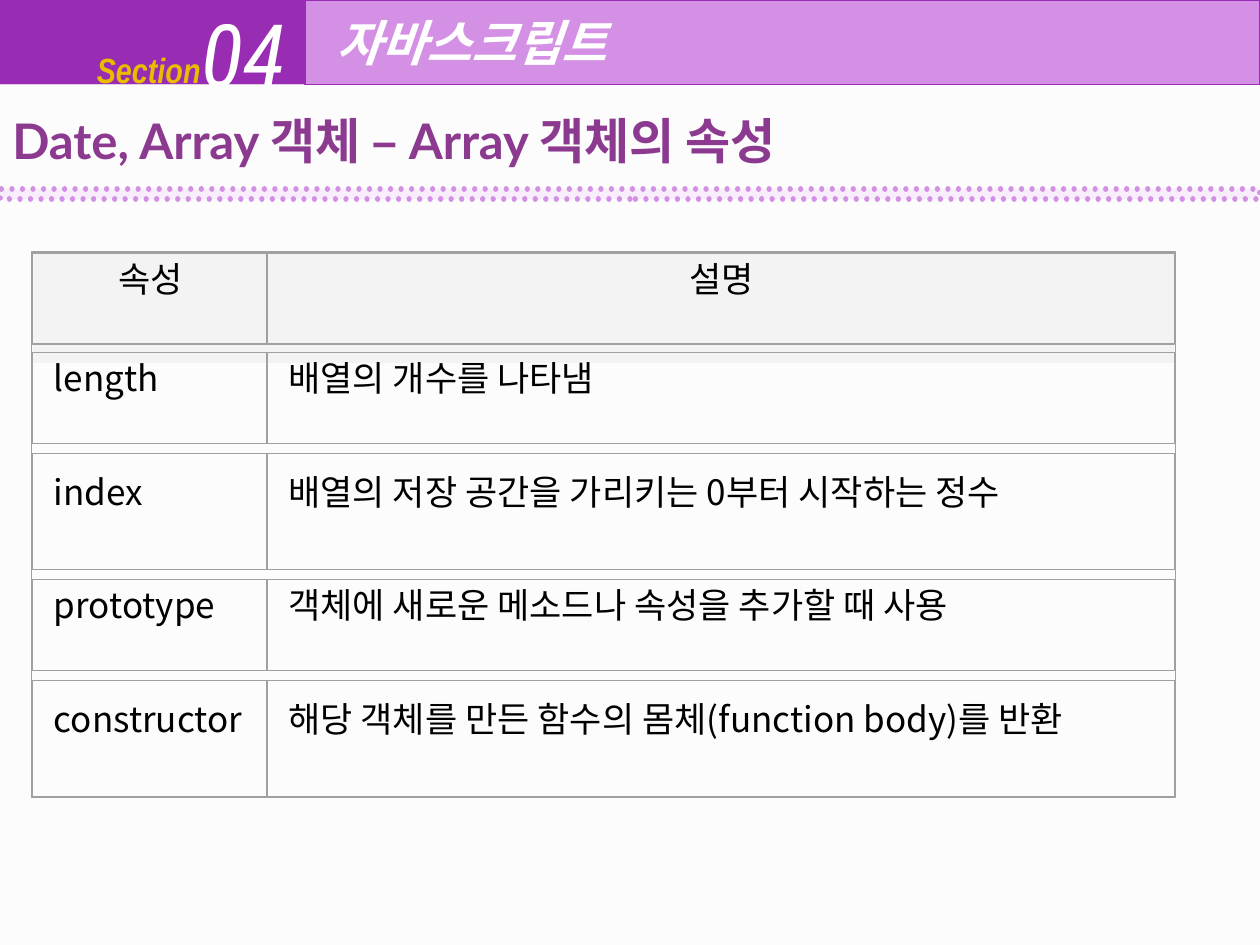
from lxml import etree
from pptx import Presentation
from pptx.dml.color import RGBColor
from pptx.enum.dml import MSO_LINE
from pptx.enum.shapes import MSO_SHAPE
from pptx.enum.text import MSO_ANCHOR, PP_ALIGN
from pptx.oxml.ns import qn
from pptx.util import Inches, Pt

PURPLE = RGBColor(0x98, 0x2C, 0xB2)
LILAC = RGBColor(0xD4, 0x90, 0xE4)
PALE_LILAC = RGBColor(0xF8, 0xED, 0xFB)
PLUM = RGBColor(0x8C, 0x3A, 0x90)
GOLD = RGBColor(0xE8, 0xBC, 0x00)
PANEL = RGBColor(0xFB, 0xFB, 0xFD)
HEADER_GRAY = RGBColor(0xF3, 0xF3, 0xF3)
BORDER_GRAY = RGBColor(0xA0, 0xA0, 0xA0)
WHITE = RGBColor(0xFF, 0xFF, 0xFF)
BLACK = RGBColor(0, 0, 0)
KOREAN_FONT = "Noto Sans CJK KR"

presentation = Presentation()
presentation.slide_width, presentation.slide_height = Inches(10), Inches(7.5)
slide = presentation.slides.add_slide(presentation.slide_layouts[6])


def add_rectangle(left, top, width, height, fill=None, line=None, line_width=0):
    shape = slide.shapes.add_shape(
        MSO_SHAPE.RECTANGLE, Inches(left), Inches(top), Inches(width), Inches(height))
    shape.shadow.inherit = False
    if fill is None:
        shape.fill.background()
    else:
        shape.fill.solid()
        shape.fill.fore_color.rgb = fill
    if line is None:
        shape.line.fill.background()
    else:
        shape.line.color.rgb = line
        shape.line.width = Pt(line_width)
    return shape


def add_text(text, left, top, width, height, color, align=PP_ALIGN.LEFT,
             anchor=MSO_ANCHOR.MIDDLE, bottom_inset=0.05, **font_values):
    box = slide.shapes.add_textbox(
        Inches(left), Inches(top), Inches(width), Inches(height))
    frame = box.text_frame
    frame.word_wrap = True
    frame.vertical_anchor = anchor
    frame.margin_bottom = Inches(bottom_inset)
    paragraph = frame.paragraphs[0]
    paragraph.alignment = align
    run = paragraph.add_run()
    run.text = text
    run.font.color.rgb = color
    for name, value in font_values.items():
        setattr(run.font, name, value)
    east_asian = etree.SubElement(run.font._element, qn("a:ea"))
    east_asian.set("typeface", KOREAN_FONT)


# Section banner
add_rectangle(0, 0, 2.42, 0.67, PURPLE)
add_text("Section", 0.67, 0.25, 1.58, 0.6, GOLD,
         name="Arial Narrow", size=Pt(20), bold=True, italic=True)
add_text("04", 1.5, 0, 1, 0.83, WHITE,
         name="Roboto Condensed", size=Pt(50), italic=True)
panel = add_rectangle(0, 0.67, 10, 6.83, PANEL)
panel_color = panel.element.spPr.find(qn("a:solidFill"))[0]
etree.SubElement(panel_color, qn("a:alpha")).set("val", "50000")
add_rectangle(2.42, 0, 7.58, 0.67, LILAC, PURPLE, 0.75)
add_text("자바스크립트", 2.57, 0, 7.43, 0.67, WHITE,
         name="Lato", size=Pt(28), bold=True, italic=True)

# Property grid: rows are separate boxes with small gaps between them
COLUMNS = [(0.26, 1.86), (2.12, 7.2)]
ROWS = [
    (2.01, 0.72, ("속성", "설명")),
    (2.8, 0.72, ("length", "배열의 개수를 나타냄")),
    (3.6, 0.92, ("index", "배열의 저장 공간을 가리키는 0부터 시작하는 정수")),
    (4.6, 0.72, ("prototype", "객체에 새로운 메소드나 속성을 추가할 때 사용")),
    (5.4, 0.92, ("constructor", "해당 객체를 만든 함수의 몸체(function body)를 반환")),
]
for row_index, (top, height, texts) in enumerate(ROWS):
    is_header = row_index == 0
    for (left, width), text in zip(COLUMNS, texts):
        if is_header:
            add_rectangle(left, top, width, 0.87, HEADER_GRAY)
        add_text(text, left + 0.07, top + 0.04, width - 0.13, height - 0.07, BLACK,
                 align=PP_ALIGN.CENTER if is_header else PP_ALIGN.JUSTIFY,
                 bottom_inset=0.38, name=KOREAN_FONT, size=Pt(20))
        add_rectangle(left, top, width, height, line=BORDER_GRAY)
add_rectangle(0.25, 2, 9.08, 4.33, line=BORDER_GRAY, line_width=0.75)

# Title and dotted rule
add_text("Date, Array 객체 – Array 객체의 속성", 0, 0.83, 9.75, 0.57, PLUM,
         anchor=MSO_ANCHOR.TOP, name="Lato", size=Pt(28), bold=True)
rule = add_rectangle(0, 1.5, 10, 0.08, PALE_LILAC, LILAC, 3)
rule.line.dash_style = MSO_LINE.ROUND_DOT
rule.element.spPr.find(qn("a:ln")).set("cap", "rnd")

presentation.save("out.pptx")
